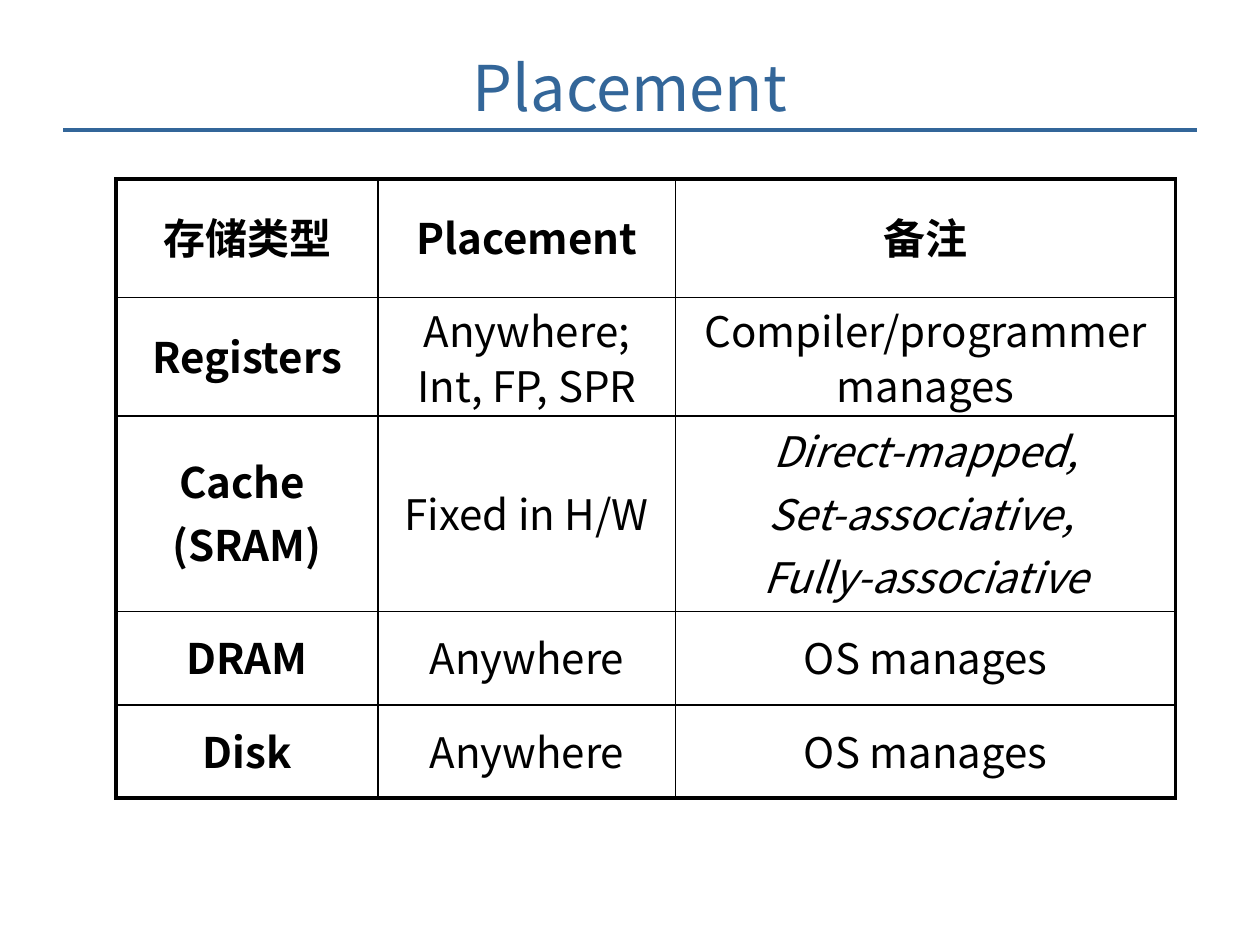
from dataclasses import dataclass

from lxml import etree
from pptx import Presentation
from pptx import util as u
from pptx.dml.color import RGBColor
from pptx.enum import shapes, text
from pptx.oxml.ns import qn


@dataclass(frozen=True)
class Theme:
    font: str = "Noto Sans CJK SC"
    accent: str = "336699"
    ink: str = "000000"
    title_size: float = 36
    body_size: float = 24
    paragraph_gap: float = 4.8
    line_spacing: float = 0.9
    rule: float = 2
    outer_border: float = 2.25
    inner_border: float = 1


THEME = Theme()

COLUMN_WIDTHS = [5.28, 6.0, 10.08]
ROW_HEIGHTS = [2.39, 2.39, 3.94, 1.88, 1.88]
ROWS = [
    ["存储类型", "Placement", "备注"],
    ["Registers", "Anywhere; Int, FP, SPR", "Compiler/programmer manages"],
    ["Cache \n(SRAM)", "Fixed in H/W",
     "Direct-mapped,\nSet-associative, \nFully-associative"],
    ["DRAM", "Anywhere", "OS manages"],
    ["Disk", "Anywhere", "OS manages"],
]
ITALIC_CELL = (2, 2)


def add_run(p, words, size, color, bold=False, italic=False):
    r = p.add_run()
    r.text = words
    f = r.font
    f.name, f.size, f.bold, f.italic = THEME.font, u.Pt(size), bold, italic
    f.color.rgb = RGBColor.from_string(color)
    etree.SubElement(r._r.get_or_add_rPr(), qn("a:ea"), typeface=THEME.font)


def add_title(s, words, left, top, width, height, rule_offset):
    tf = s.shapes.add_textbox(*map(u.Cm, (left, top, width, height))).text_frame
    tf.word_wrap = True
    tf.vertical_anchor = text.MSO_ANCHOR.MIDDLE
    p = tf.paragraphs[0]
    p.alignment = text.PP_ALIGN.CENTER
    add_run(p, words, THEME.title_size, THEME.accent)

    y = u.Cm(top + rule_offset)
    rule = s.shapes.add_connector(
        shapes.MSO_CONNECTOR.STRAIGHT, u.Cm(left), y, u.Cm(left + width), y)
    rule.line.color.rgb = RGBColor.from_string(THEME.accent)
    rule.line.width = u.Pt(THEME.rule)
    etree.SubElement(rule._element.spPr, qn("a:effectLst"))


def set_borders(cell, outer_edges):
    tc_pr = cell._tc.get_or_add_tcPr()
    for side in "LRTB":
        width = THEME.outer_border if side in outer_edges else THEME.inner_border
        ln = etree.SubElement(tc_pr, qn(f"a:ln{side}"), w=str(u.Pt(width)))
        fill = etree.SubElement(ln, qn("a:solidFill"))
        etree.SubElement(fill, qn("a:srgbClr"), val=THEME.ink)


def fill_cell(cell, words, bold, italic):
    cell.vertical_anchor = text.MSO_ANCHOR.MIDDLE
    tf = cell.text_frame
    for i, line in enumerate(words.split("\n")):
        p = tf.add_paragraph() if i else tf.paragraphs[0]
        p.alignment = text.PP_ALIGN.CENTER
        p.line_spacing = THEME.line_spacing
        if i:
            p.space_before = u.Pt(THEME.paragraph_gap)
        add_run(p, line, THEME.body_size, THEME.ink, bold, italic)


def add_placement_table(s, left, top):
    n_rows, n_cols = len(ROWS), len(COLUMN_WIDTHS)
    table = s.shapes.add_table(
        n_rows, n_cols, u.Cm(left), u.Cm(top),
        u.Cm(sum(COLUMN_WIDTHS)), u.Cm(sum(ROW_HEIGHTS))).table
    table.first_row = table.horz_banding = False
    for column, width in zip(table.columns, COLUMN_WIDTHS):
        column.width = u.Cm(width)
    for row, height in zip(table.rows, ROW_HEIGHTS):
        row.height = u.Cm(height)

    for i, row in enumerate(ROWS):
        for j, words in enumerate(row):
            cell = table.cell(i, j)
            fill_cell(cell, words, bold=i == 0 or j == 0,
                      italic=(i, j) == ITALIC_CELL)
            edges = {"L": j == 0, "R": j == n_cols - 1,
                     "T": i == 0, "B": i == n_rows - 1}
            set_borders(cell, [side for side, outer in edges.items() if outer])
            cell.fill.background()


def main():
    prs = Presentation()
    prs.slide_width, prs.slide_height = u.Cm(25.4), u.Cm(19.05)
    s = prs.slides.add_slide(prs.slide_layouts[6])
    add_title(s, "Placement", 1.27, 0.64, 22.86, 2.21, rule_offset=1.98)
    add_placement_table(s, 2.34, 3.61)
    prs.save("out.pptx")


if __name__ == "__main__":
    main()
